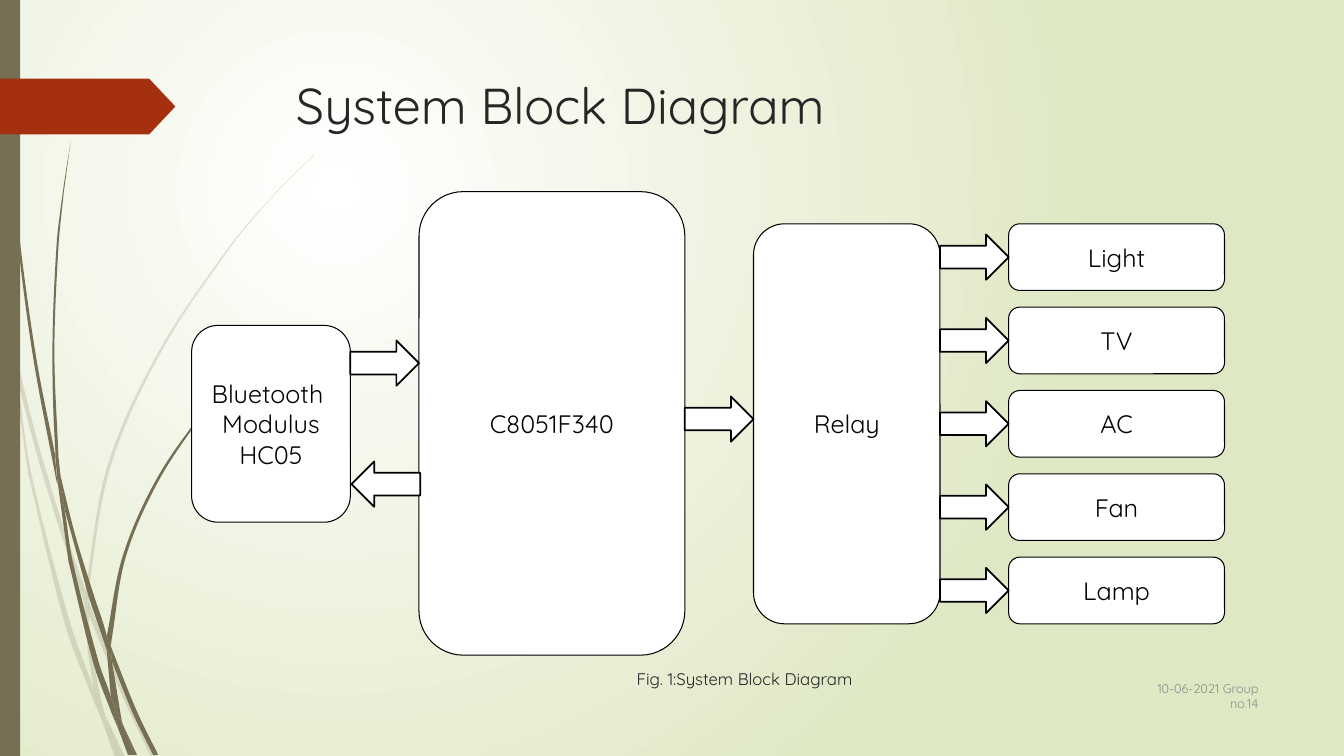
from dataclasses import dataclass
from math import hypot
from typing import Optional

from lxml.etree import SubElement
from pptx import Presentation
from pptx.dml.color import RGBColor
from pptx.enum.shapes import MSO_SHAPE as Shp
from pptx.enum.text import MSO_ANCHOR as Anchor, PP_ALIGN as Align
from pptx.oxml import parse_xml
from pptx.oxml.ns import nsdecls, qn
from pptx.util import Cm, Pt

FONT = "Quicksand"
GRID = 0.0254
COLORS = {
    "white": "FFFFFF",
    "black": "000000",
    "meadow": "DFE8C4",
    "grass": "766F54",
    "tag": "A53010",
    "text": "262626",
    "footer": "8C8C8C",
}
Points = list[tuple[int, int]]


@dataclass
class Box:
    text: str
    x: float
    y: float
    w: float
    h: float


@dataclass
class Arrow:
    x: float
    mid_y: float
    kind: Shp = Shp.RIGHT_ARROW


@dataclass
class Label:
    text: str
    x: float
    y: float
    w: float
    h: float
    size: int
    color: str
    align: Align
    anchor: Anchor


@dataclass
class Blade:
    down: Points
    up: Points


PALE_GRASS = [
    Blade([(0, 282), (9, 322), (11, 350)], [(10, 344), (0, 299)]),
    Blade([(14, 345), (36, 433), (62, 520), (85, 586)],
          [(84, 599), (58, 522), (36, 449), (17, 376)]),
    Blade([(88, 596), (92, 607), (127, 692), (155, 751)], [(150, 751), (123, 694), (88, 610)]),
    Blade([(105, 711), (124, 751)], [(119, 751)]),
    Blade([(11, 350), (17, 376), (31, 469), (70, 619), (93, 683), (99, 707), (101, 714)],
          [(92, 693), (65, 621), (28, 470)]),
    Blade([(84, 599), (88, 608), (88, 610), (91, 646), (103, 706), (105, 711)],
          [(96, 692), (93, 683), (87, 646)]),
    Blade([(312, 153), (289, 175), (268, 197), (228, 244), (158, 348), (107, 461),
           (85, 584), (85, 586)],
          [(88, 596), (88, 584), (110, 462), (160, 349), (229, 245), (268, 198),
           (290, 175), (312, 154)]),
    Blade([(101, 714), (119, 751)], [(114, 751)]),
    Blade([(85, 586), (88, 596), (88, 610)], [(88, 608), (84, 599)]),
    Blade([(93, 683), (96, 692), (105, 711), (119, 751)], [(101, 714), (99, 707)]),
]
DARK_GRASS = [
    Blade([(3, 0), (4, 48), (7, 110), (17, 233), (33, 355), (56, 477), (57, 481)],
          [(55, 457), (55, 453), (36, 355), (19, 232), (8, 109), (5, 48), (4, 0)]),
    Blade([(60, 472), (75, 532), (93, 590), (106, 631), (106, 645)], [(88, 592), (64, 505)]),
    Blade([(110, 641), (113, 649), (136, 706), (157, 749)], [(152, 749), (132, 708), (111, 656)]),
    Blade([(57, 477), (64, 505), (72, 556), (98, 657), (110, 691), (116, 717), (117, 722)],
          [(111, 708), (93, 659), (68, 557)]),
    Blade([(70, 141), (62, 193), (56, 245), (52, 349), (55, 449), (60, 472)],
          [(58, 453), (54, 349), (58, 245), (63, 193)]),
    Blade([(122, 719), (136, 749)], [(133, 749)]),
    Blade([(55, 449), (60, 472), (64, 505)], [(57, 477), (55, 453)]),
    Blade([(261, 344), (245, 358), (231, 373), (204, 405), (156, 474), (122, 551), (106, 631)],
          [(110, 641), (111, 633), (125, 552), (158, 476), (205, 406), (231, 374), (245, 359)]),
    Blade([(117, 722), (131, 749)], [(127, 749)]),
    Blade([(106, 645), (109, 651), (111, 656), (121, 716), (122, 719)], [(116, 706), (110, 691)]),
    Blade([(106, 631), (110, 641), (111, 656)], [(109, 651), (106, 645)]),
    Blade([(110, 691), (116, 706), (122, 719), (133, 749)], [(130, 749), (117, 722), (116, 717)]),
]

ARROW_W, ARROW_H = 1.73, 1.14
OUTPUT_TOP, OUTPUT_PITCH, OUTPUT_H = 5.64, 2.1, 1.68
OUTPUTS = [
    Box(name, 25.42, OUTPUT_TOP + i * OUTPUT_PITCH, 5.44, OUTPUT_H)
    for i, name in enumerate(["Light", "TV", "AC", "Fan", "Lamp"])
]
BOXES = OUTPUTS + [
    Box("C8051F340", 10.56, 4.83, 6.7, 11.68),
    Box("Bluetooth \vModulus\vHC05", 4.83, 8.2, 4, 4.96),
    Box("Relay", 18.99, 5.64, 4.7, 10.08),
]
ARROWS = [Arrow(23.69, box.y + box.h / 2) for box in OUTPUTS] + [
    Arrow(17.26, 10.56),
    Arrow(8.86, 12.2, Shp.LEFT_ARROW),
    Arrow(8.83, 9.15),
]
LABELS = [
    Label("System Block Diagram", 7.21, 1.75, 24.77, 3.56, 36, "text", Align.LEFT, Anchor.TOP),
    Label("Fig. 1:System Block Diagram", 14.55, 16.73, 8.43, .86, 12, "text",
          Align.CENTER, Anchor.TOP),
    Label("10-06-2021 Group no.14", 28.78, 17.02, 3.18, 1.04, 9, "footer",
          Align.RIGHT, Anchor.MIDDLE),
]


def rgb(name: str) -> RGBColor:
    return RGBColor.from_string(COLORS[name])


def paint(sp, fill: str, line_pt: float = 0) -> None:
    sp.shadow.inherit = False
    sp.fill.solid()
    sp.fill.fore_color.rgb = rgb(fill)
    if line_pt:
        sp.line.color.rgb = rgb("black")
        sp.line.width = Pt(line_pt)
    else:
        sp.line.fill.background()


def write(sp, text: str, size: int, color: str, align: Align, anchor: Anchor) -> None:
    tf = sp.text_frame
    tf.word_wrap = True
    tf.vertical_anchor = anchor
    p = tf.paragraphs[0]
    p.text = text
    p.alignment = align
    p.font.name = FONT
    p.font.size = Pt(size)
    p.font.color.rgb = rgb(color)


def add_preset(shapes, kind: Shp, x: float, y: float, w: float, h: float):
    return shapes.add_shape(kind, Cm(x), Cm(y), Cm(w), Cm(h))


def bend(edge: Points, lines: list) -> None:
    last = len(edge) - 1
    for i, line in enumerate(lines):
        (x0, y0), (x1, y1) = edge[i], edge[i + 1]
        reach = hypot(x1 - x0, y1 - y0) / 3
        line.tag = qn("a:cubicBezTo")
        for order, (at, sign) in enumerate([(i, 1), (i + 1, -1)]):
            (ax, ay), (bx, by) = edge[max(at - 1, 0)], edge[min(at + 1, last)]
            pull = sign * reach / hypot(bx - ax, by - ay)
            x, y = edge[at][0] + (bx - ax) * pull, edge[at][1] + (by - ay) * pull
            line.insert(order, parse_xml(f'<a:pt {nsdecls("a")} x="{x:.0f}" y="{y:.0f}"/>'))


def add_blade(shapes, blade: Blade, alpha: Optional[int]) -> None:
    outline = [(Cm(x * GRID), Cm(y * GRID)) for x, y in blade.down + blade.up]
    builder = shapes.build_freeform(*outline[0])
    builder.add_line_segments(outline[1:], close=True)
    sp = builder.convert_to_shape()
    paint(sp, "grass")
    if alpha:
        color = sp.fill._xPr.find(f".//{qn('a:srgbClr')}")
        SubElement(color, qn("a:alpha"), val=str(alpha * 1000))
    lines = list(sp._element.iter(qn("a:lnTo")))
    turn = len(blade.down)
    left, top = (min(values) for values in zip(*outline))
    local = [(x - left, y - top) for x, y in outline]
    bend(local[:turn], lines[:turn - 1])
    bend(local[turn:], lines[turn:turn + len(blade.up) - 1])


def set_background(slide) -> None:
    fill = slide.background.fill
    fill.gradient()
    for stop, position, color in zip(fill.gradient_stops, (0, 1), ("white", "meadow")):
        stop.position = position
        stop.color.rgb = rgb(color)
    grad = slide.background._cSld.find(f".//{qn('a:gradFill')}")
    grad.remove(grad.find(qn("a:lin")))
    circle = SubElement(grad, qn("a:path"), {"path": "circle"})
    SubElement(circle, qn("a:fillToRect"), l="50000", t="50000", r="100000", b="100000")


def main() -> None:
    prs = Presentation()
    prs.slide_width, prs.slide_height = Cm(33.87), Cm(19.05)
    slide = prs.slides.add_slide(prs.slide_layouts[6])
    shapes = slide.shapes
    set_background(slide)
    for blades, alpha in ((PALE_GRASS, 20), (DARK_GRASS, None)):
        group = shapes.add_group_shape()
        for blade in blades:
            add_blade(group.shapes, blade, alpha)
    paint(add_preset(shapes, Shp.RECTANGLE, 0, 0, .51, 19.05), "grass")
    tag = add_preset(shapes, Shp.PENTAGON, 0, 1.98, 4.42, 1.41)
    tag.adjustments[0] = .47
    paint(tag, "tag")
    for box in BOXES:
        sp = add_preset(shapes, Shp.ROUNDED_RECTANGLE, box.x, box.y, box.w, box.h)
        paint(sp, "white", .75)
        write(sp, box.text, 18, "black", Align.CENTER, Anchor.MIDDLE)
    for arrow in ARROWS:
        sp = add_preset(shapes, arrow.kind, arrow.x, arrow.mid_y - ARROW_H / 2, ARROW_W, ARROW_H)
        paint(sp, "white", 1.25)
    for label in LABELS:
        sp = shapes.add_textbox(Cm(label.x), Cm(label.y), Cm(label.w), Cm(label.h))
        write(sp, label.text, label.size, label.color, label.align, label.anchor)
    prs.save("out.pptx")


if __name__ == "__main__":
    main()
